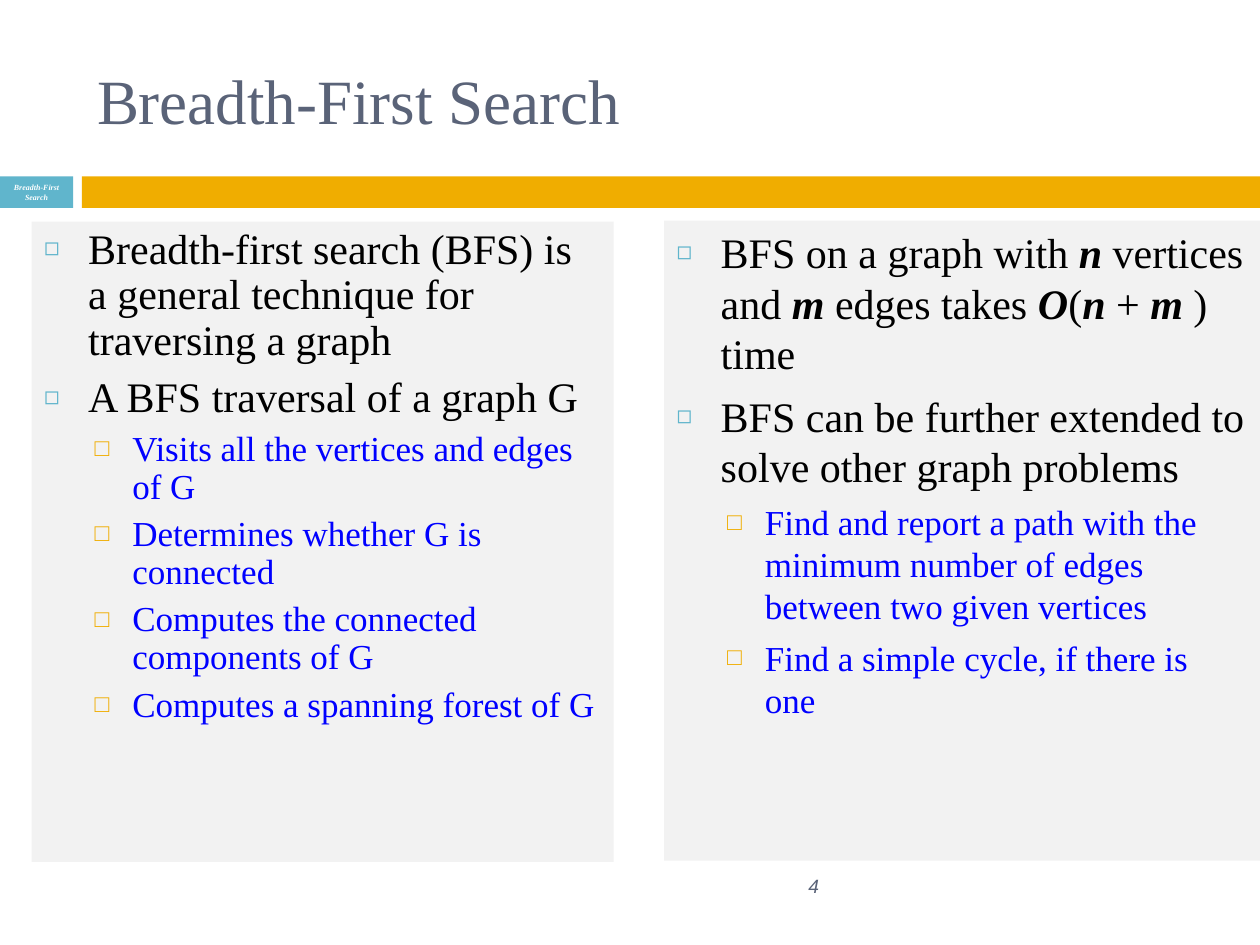
from pptx import Presentation, util as u
from pptx.dml.color import RGBColor
from pptx.enum import shapes, text
from pptx.oxml import parse_xml
from pptx.oxml.ns import nsdecls

W, H = 10, 7.5
SERIF = "Times New Roman"
SLATE, BLUE, GOLD, PALE = "5A6378", "60B5CC", "F0AD00", "F2F2F2"


def place(box, x, y, w, h, fill=None):
    box.left, box.top, box.width, box.height = map(u.Inches, (x, y, w, h))
    if fill:
        box.fill.solid()
        box.fill.fore_color.rgb = RGBColor.from_string(fill)


def style(par, size, color, name=SERIF, bold=False, ital=False):
    for run in par.runs:
        font = run.font
        font.name, font.size = name, u.Pt(size)
        font.bold, font.italic = bold, ital
        font.color.rgb = RGBColor.from_string(color)


prs = Presentation()
prs.slide_width, prs.slide_height = u.Inches(W), u.Inches(H)
slide = prs.slides.add_slide(prs.slide_layouts[3])
title, left, right = slide.placeholders

# Band across the slide
for x, w, fill in [(0, 0.58, BLUE), (0.65, W - 0.65, GOLD)]:
    bar = slide.shapes.add_shape(shapes.MSO_SHAPE.RECTANGLE, 0, 0, 0, 0)
    place(bar, x, 1.4, w, 0.25, fill)
    bar.line.fill.background()
    bar.shadow.inherit = False

# Band label and page number
for words, spot, align, look in [
    ("Breadth-First Search", (0, 1.39, 0.58, 0.27), text.PP_ALIGN.CENTER,
     (4.5, "FFFFFF", SERIF, True, True)),
    ("4", (0.67, 6.83, 5.93, 0.4), text.PP_ALIGN.RIGHT,
     (11, SLATE, "Arial", False, True)),
]:
    box = slide.shapes.add_textbox(0, 0, 0, 0)
    place(box, *spot)
    frame = box.text_frame
    frame.text = words
    frame.word_wrap = True
    frame.vertical_anchor = text.MSO_ANCHOR.MIDDLE
    par = frame.paragraphs[0]
    par.alignment = align
    style(par, *look)

place(title, 0.67, 0.25, 8.92, 1.08)
title.text_frame.text = "Breadth-First Search"
title.text_frame.vertical_anchor = text.MSO_ANCHOR.MIDDLE
title.text_frame.paragraphs[0].alignment = text.PP_ALIGN.LEFT
style(title.text_frame.paragraphs[0], 36, SLATE)

# Lists: each item is a level and its text; *stars* mark bold italic symbols
lists = [
    (left, (0.25, 1.76, 4.62, 5.08), 0.9, [
        (0, "Breadth-first search (BFS) is a general technique for traversing a graph"),
        (0, "A BFS traversal of a graph G"),
        (1, "Visits all the vertices and edges of G"),
        (1, "Determines whether G is connected"),
        (1, "Computes the connected components of G"),
        (1, "Computes a spanning forest of G"),
    ]),
    (right, (5.27, 1.75, 4.73, 5.08), 1.0, [
        (0, "BFS on a graph with *n* vertices and *m* edges takes *O*(*n* + *m* ) time"),
        (0, "BFS can be further extended to solve other graph problems"),
        (1, "Find and report a path with the minimum number of edges "
            "between two given vertices"),
        (1, "Find a simple cycle, if there is one"),
    ]),
]
# Per level: size, colour, space before, margin, hang, bullet, its colour and share
levels = [
    (24, "000000", 7, 0.35, 0.35, "◻", BLUE, 60),
    (20, "0000FF", 5.5, 0.7, 0.3, "□", GOLD, 70),
]

for body, spot, lead, items in lists:
    place(body, *spot, PALE)
    frame = body.text_frame
    frame.auto_size = text.MSO_AUTO_SIZE.NONE
    for i, (level, words) in enumerate(items):
        size, color, gap, margin, hang, mark, tint, share = levels[level]
        par = frame.paragraphs[0] if i == 0 else frame.add_paragraph()
        par.level = level
        par.line_spacing, par.space_before = lead, u.Pt(gap)
        for part in words.split("*"):
            par.add_run().text = part
        style(par, size, color)
        for run in par.runs[1::2]:
            run.font.bold = run.font.italic = True
        props = par._p.get_or_add_pPr()
        props.set("marL", str(u.Inches(margin)))
        props.set("indent", str(-u.Inches(hang)))
        for tag in (f'<a:buClr {nsdecls("a")}><a:srgbClr val="{tint}"/></a:buClr>',
                    f'<a:buSzPct {nsdecls("a")} val="{share * 1000}"/>',
                    f'<a:buChar {nsdecls("a")} char="{mark}"/>'):
            props.append(parse_xml(tag))

prs.save("out.pptx")
